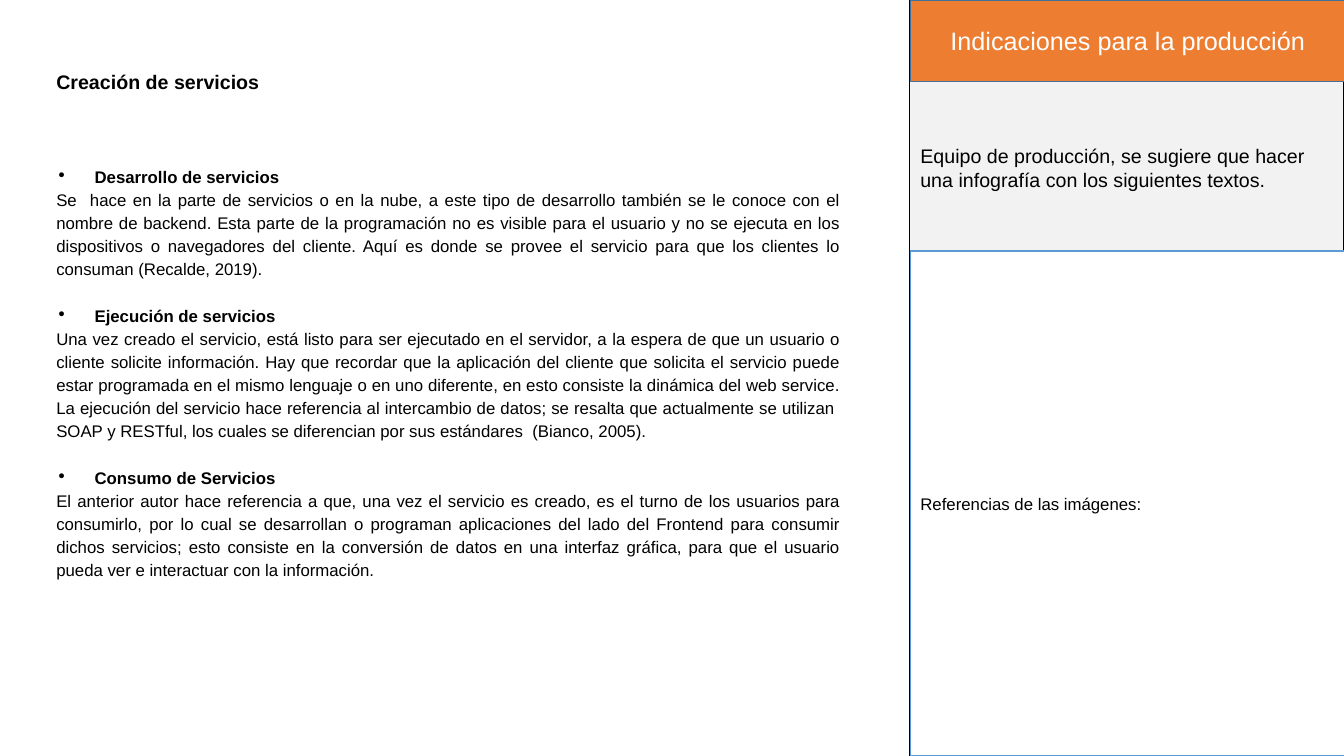
from lxml import etree
from pptx import Presentation
from pptx.dml.color import RGBColor
from pptx.enum import shapes, text
from pptx.oxml import ns
from pptx.util import Inches, Pt

# Content
TITLE = "Creación de servicios"
SECTIONS = [
    ("Desarrollo de servicios",
     "Se  hace en la parte de servicios o en la nube, a este tipo de desarrollo "
     "también se le conoce con el nombre de backend. Esta parte de la programación "
     "no es visible para el usuario y no se ejecuta en los dispositivos o navegadores "
     "del cliente. Aquí es donde se provee el servicio para que los clientes lo "
     "consuman (Recalde, 2019)."),
    ("Ejecución de servicios",
     "Una vez creado el servicio, está listo para ser ejecutado en el servidor, a la "
     "espera de que un usuario o cliente solicite información. Hay que recordar que la "
     "aplicación del cliente que solicita el servicio puede estar programada en el mismo "
     "lenguaje o en uno diferente, en esto consiste la dinámica del web service. La "
     "ejecución del servicio hace referencia al intercambio de datos; se resalta que "
     "actualmente se utilizan  SOAP y RESTful, los cuales se diferencian por sus "
     "estándares  (Bianco, 2005)."),
    ("Consumo de Servicios",
     "El anterior autor hace referencia a que, una vez el servicio es creado, es el turno "
     "de los usuarios para consumirlo, por lo cual se desarrollan o programan aplicaciones "
     "del lado del Frontend para consumir dichos servicios; esto consiste en la conversión "
     "de datos en una interfaz gráfica, para que el usuario pueda ver e interactuar con la "
     "información."),
]
PANEL_TITLE = "Indicaciones para la producción"
PANEL_NOTE = ("Equipo de producción, se sugiere que hacer una infografía "
              "con los siguientes textos.")
REFERENCES = "Referencias de las imágenes:"

# Style
BLACK = RGBColor(0x00, 0x00, 0x00)
WHITE = RGBColor(0xFF, 0xFF, 0xFF)
GREY = RGBColor(0xF2, 0xF2, 0xF2)
ORANGE = RGBColor(0xED, 0x7D, 0x31)
NAVY = RGBColor(0x42, 0x71, 0x9B)
BLUE = RGBColor(0x5B, 0x9B, 0xD5)
FONT = "Arial"
BULLET_INDENT = Inches(0.38)
SECTION_GAP = Pt(16.5)
PANEL_LEFT = 9.03

deck = Presentation()
deck.slide_width, deck.slide_height = Inches(13.33), Inches(7.5)
page = deck.slides.add_slide(deck.slide_layouts[6])


def add_panel(left, top, width, height, fill, line):
    panel = page.shapes.add_shape(shapes.MSO_SHAPE.RECTANGLE, Inches(left),
                                  Inches(top), Inches(width), Inches(height))
    panel.shadow.inherit = False
    panel.fill.solid()
    panel.fill.fore_color.rgb = fill
    panel.line.color.rgb = line
    panel.line.width = Pt(1)
    panel.text_frame.word_wrap = True
    panel.text_frame.vertical_anchor = text.MSO_ANCHOR.MIDDLE
    return panel.text_frame


def add_text(left, top, width, height):
    box = page.shapes.add_textbox(Inches(left), Inches(top),
                                  Inches(width), Inches(height))
    box.text_frame.word_wrap = True
    return box.text_frame


def write(para, words, size, color=BLACK, bold=False, align=text.PP_ALIGN.LEFT):
    para.alignment = align
    span = para.add_run()
    span.text = words
    span.font.name = FONT
    span.font.size = Pt(size)
    span.font.bold = bold
    span.font.color.rgb = color


def add_bullet(para):
    props = para._p.get_or_add_pPr()
    props.set("marL", str(BULLET_INDENT))
    props.set("indent", str(-BULLET_INDENT))
    tint = etree.SubElement(props, ns.qn("a:buClr"))
    etree.SubElement(tint, ns.qn("a:srgbClr"), val=str(BLACK))
    etree.SubElement(props, ns.qn("a:buChar"), char="∙")


# Production panel on the right
add_panel(9.02, 0, 4.31, 7.5, GREY, BLACK)
note = add_text(PANEL_LEFT, 1.38, 4.33, 3.3)
write(note.paragraphs[0], PANEL_NOTE, 14)
header = add_panel(PANEL_LEFT, 0, 4.31, 0.81, ORANGE, NAVY)
write(header.paragraphs[0], PANEL_TITLE, 18, WHITE, align=text.PP_ALIGN.CENTER)
references = add_panel(PANEL_LEFT, 2.49, 4.32, 5.01, WHITE, BLUE)
write(references.paragraphs[0], REFERENCES, 12)

# Sections: bulleted heading, then its justified text
body = add_text(0.46, 1.57, 7.98, 4.51)
for number, (heading, description) in enumerate(SECTIONS):
    for is_heading, words in ((True, heading), (False, description)):
        first = number == 0 and is_heading
        para = body.paragraphs[0] if first else body.add_paragraph()
        para.line_spacing = 1.15
        if is_heading:
            para.space_before = SECTION_GAP if number else Pt(0)
            add_bullet(para)
        write(para, words, 12, bold=is_heading, align=text.PP_ALIGN.JUSTIFY)

# Title
title = add_text(0.46, 0.64, 6.68, 0.34)
write(title.paragraphs[0], TITLE, 14, bold=True)

deck.save("out.pptx")
